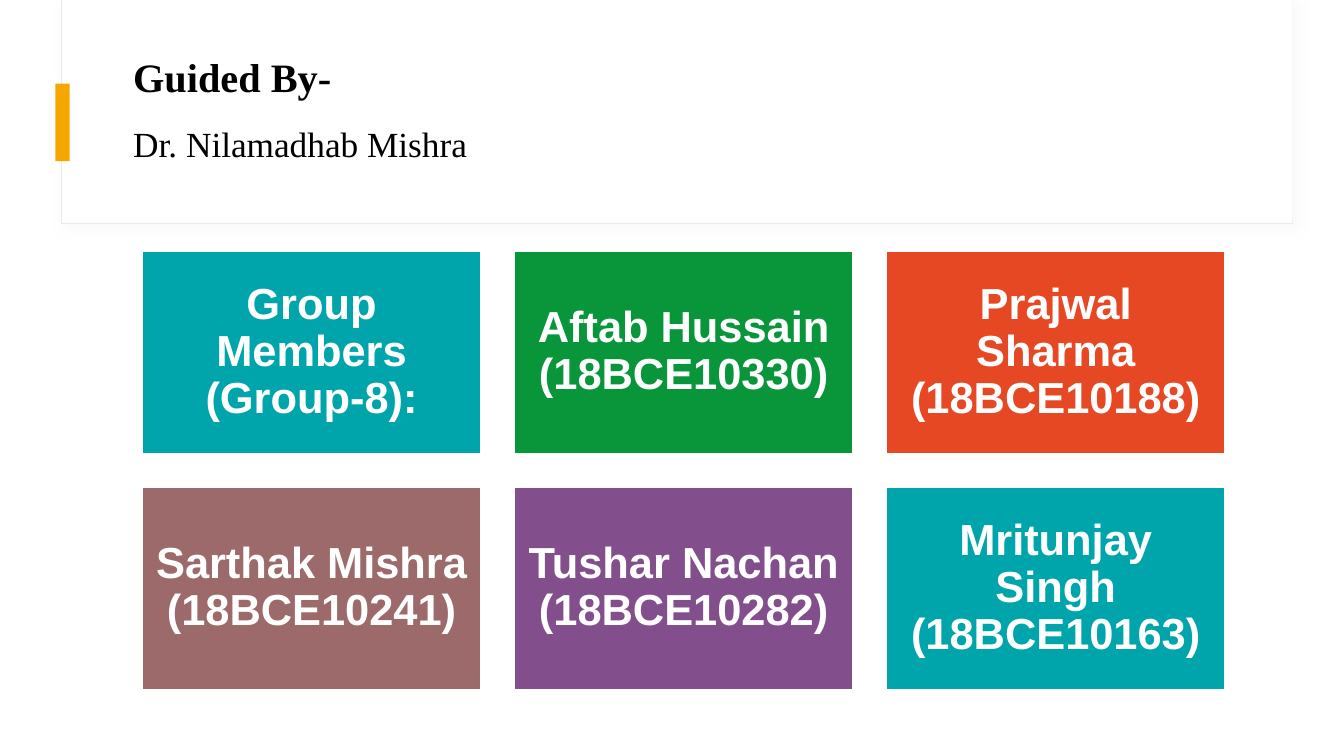
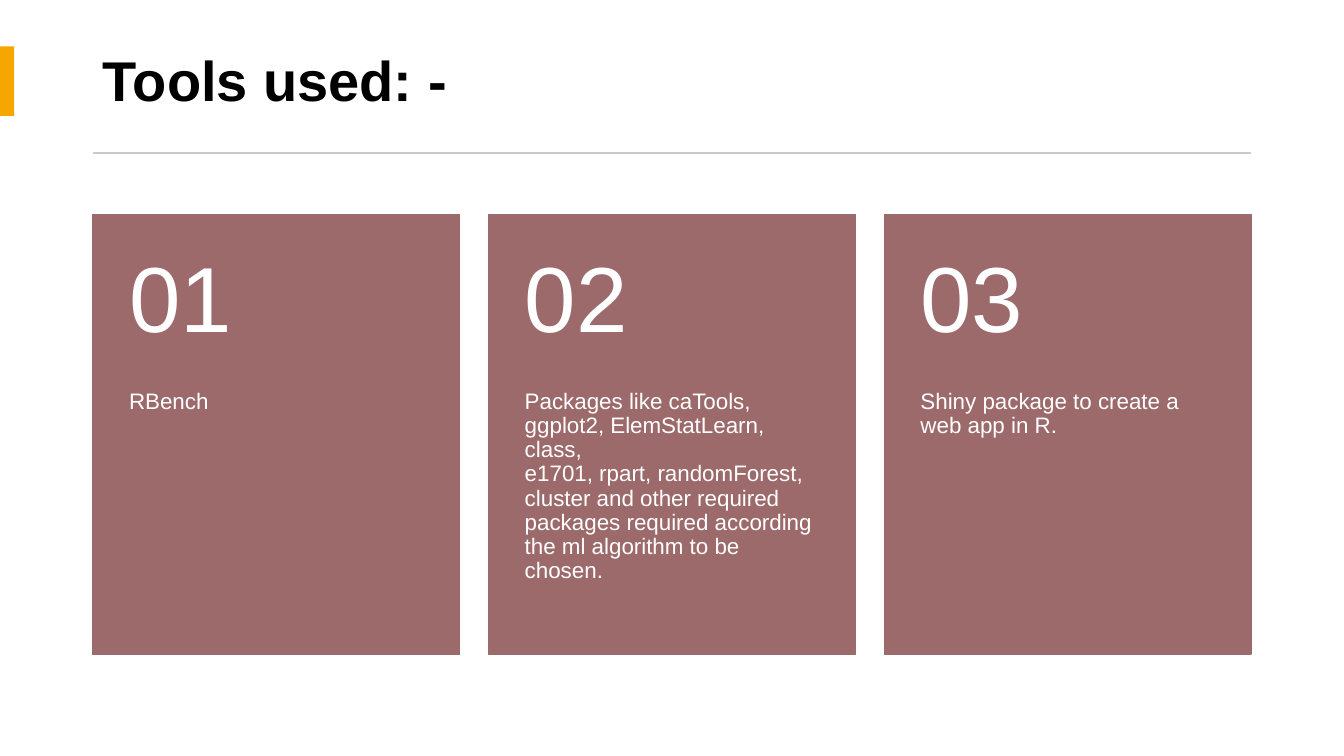
from dataclasses import dataclass
from typing import Iterator

from lxml.etree import SubElement
from pptx import Presentation
from pptx.dml.color import RGBColor
from pptx.enum.shapes import MSO_CONNECTOR, MSO_SHAPE
from pptx.enum.text import MSO_ANCHOR, MSO_AUTO_SIZE, PP_ALIGN
from pptx.oxml.ns import qn
from pptx.shapes.autoshape import Shape
from pptx.slide import Slide
from pptx.text.text import TextFrame
from pptx.util import Inches, Pt


@dataclass(frozen=True)
class Theme:
    white: str = "FFFFFF"
    black: str = "000000"
    amber: str = "F5A700"
    teal: str = "00A5AB"
    green: str = "09963B"
    red: str = "E64823"
    mauve: str = "9C6A6A"
    purple: str = "824F8C"
    edge: str = "E9E9E9"
    shade: str = "D9D9D9"
    rule: str = "C9C9C9"
    sans: str = "Arial"
    serif: str = "Times New Roman"
    guide: float = 28.8
    name: float = 25.2
    title: float = 40
    member: float = 31
    number: float = 66
    body: float = 16


@dataclass(frozen=True)
class Box:
    left: float
    top: float
    width: float
    height: float

    def lengths(self) -> tuple[Inches, ...]:
        return tuple(Inches(v) for v in (self.left, self.top, self.width, self.height))


@dataclass(frozen=True)
class Style:
    size: float
    color: str
    font: str
    bold: bool = False


@dataclass(frozen=True)
class Member:
    text: str
    fill: str


@dataclass(frozen=True)
class Tool:
    number: str
    text: str


THEME = Theme()
MEMBERS = (
    Member("Group Members (Group-8):", THEME.teal),
    Member("Aftab Hussain (18BCE10330)", THEME.green),
    Member("Prajwal Sharma (18BCE10188)", THEME.red),
    Member("Sarthak Mishra (18BCE10241)", THEME.mauve),
    Member("Tushar Nachan (18BCE10282)", THEME.purple),
    Member("Mritunjay Singh (18BCE10163)", THEME.teal),
)
TOOLS = (
    Tool("01", "RBench"),
    Tool("02", "Packages like caTools, ggplot2, ElemStatLearn, class,\v"
               "e1701, rpart, randomForest, cluster and other required "
               "packages required according the ml algorithm to be chosen."),
    Tool("03", "Shiny package to create a web app in R."),
)


def grid(first: Box, gap: float, count: int, columns: int = 3) -> Iterator[Box]:
    for index in range(count):
        row, column = divmod(index, columns)
        yield Box(first.left + column * (first.width + gap),
                  first.top + row * (first.height + gap),
                  first.width, first.height)


def add_rect(slide: Slide, box: Box, fill: str, line: str = "", weight: float = 1) -> Shape:
    shape = slide.shapes.add_shape(MSO_SHAPE.RECTANGLE, *box.lengths())
    shape.shadow.inherit = False
    shape.fill.solid()
    shape.fill.fore_color.rgb = RGBColor.from_string(fill)
    if line:
        shape.line.color.rgb = RGBColor.from_string(line)
        shape.line.width = Pt(weight)
    else:
        shape.line.fill.background()
    return shape


def write(frame: TextFrame, text: str, styles: tuple[Style, ...],
          insets: tuple[float, float, float, float],
          anchor: MSO_ANCHOR = MSO_ANCHOR.MIDDLE,
          align: PP_ALIGN = PP_ALIGN.LEFT) -> None:
    frame.text = text
    frame.word_wrap = True
    frame.auto_size = MSO_AUTO_SIZE.NONE
    frame.vertical_anchor = anchor
    (frame.margin_left, frame.margin_top,
     frame.margin_right, frame.margin_bottom) = map(Inches, insets)
    for para, style in zip(frame.paragraphs, styles):
        para.alignment = align
        para.line_spacing = 0.9
        para.space_before = Pt(0)
        for run in para.runs:
            run.font.size = Pt(style.size)
            run.font.name = style.font
            run.font.bold = style.bold
            run.font.color.rgb = RGBColor.from_string(style.color)


def add_text(slide: Slide, box: Box, text: str, size: float,
             insets: tuple[float, float, float, float], anchor: MSO_ANCHOR) -> None:
    frame = slide.shapes.add_textbox(*box.lengths()).text_frame
    write(frame, text, (Style(size, THEME.white, THEME.sans),), insets, anchor)


def add_title(slide: Slide, box: Box, text: str, styles: tuple[Style, ...],
              anchor: MSO_ANCHOR = MSO_ANCHOR.MIDDLE) -> TextFrame:
    title = slide.shapes.title
    title.left, title.top, title.width, title.height = box.lengths()
    write(title.text_frame, text, styles, (0.1, 0.05, 0.1, 0.05), anchor)
    title.element.getparent().append(title.element)
    return title.text_frame


def add_panel(slide: Slide) -> None:
    panel = add_rect(slide, Box(0.61, 0.01, 12.21, 2.21), THEME.white, THEME.edge, 0.75)
    effects = panel.element.spPr.find(qn("a:effectLst"))
    shadow = SubElement(effects, qn("a:outerShdw"), blurRad=str(Pt(8)),
                        dist=str(Pt(4)), dir="2700000", rotWithShape="0")
    color = SubElement(shadow, qn("a:srgbClr"), val=THEME.shade)
    SubElement(color, qn("a:alpha"), val="15000")
    add_rect(slide, Box(0.62, 0, 12.2, 2.2), THEME.white)


def add_rule(slide: Slide, left: float, right: float, top: float) -> None:
    rule = slide.shapes.add_connector(MSO_CONNECTOR.STRAIGHT, Inches(left), Inches(top),
                                      Inches(right), Inches(top))
    rule.line.color.rgb = RGBColor.from_string(THEME.rule)
    rule.line.width = Pt(1.5)
    SubElement(rule.element.spPr, qn("a:effectLst"))


def build_team(slide: Slide) -> None:
    add_panel(slide)
    styles = (Style(THEME.guide, THEME.black, THEME.serif, True),
              Style(THEME.name, THEME.black, THEME.serif))
    frame = add_title(slide, Box(1.22, 0.52, 11.12, 1.29),
                      "Guided By-\nDr. Nilamadhab Mishra", styles, MSO_ANCHOR.TOP)
    frame.paragraphs[1].space_before = Pt(18.5)
    add_rect(slide, Box(0.55, 0.83, 0.14, 0.77), THEME.amber)
    style = Style(THEME.member, THEME.white, THEME.sans, True)
    boxes = grid(Box(1.41, 2.49, 3.36, 2.01), 0.33, len(MEMBERS))
    for member, box in zip(MEMBERS, boxes):
        card = add_rect(slide, box, member.fill, THEME.white)
        write(card.text_frame, member.text, (style,), (0.13,) * 4, align=PP_ALIGN.CENTER)


def build_tools(slide: Slide) -> None:
    left, width, card = 0.92, 11.49, 3.64
    add_title(slide, Box(left, 0.28, width, 1.1), "Tools used: -",
              (Style(THEME.title, THEME.black, THEME.sans, True),))
    add_rect(slide, Box(0, 0.46, 0.14, 0.69), THEME.amber)
    add_rule(slide, left, left + width, 1.52)
    gap = (width - len(TOOLS) * card) / (len(TOOLS) - 1)
    head = 1.74
    boxes = grid(Box(left, 2.13, card, 4.36), gap, len(TOOLS))
    for tool, box in zip(TOOLS, boxes):
        add_rect(slide, box, THEME.mauve, THEME.mauve)
        add_text(slide, Box(box.left, box.top, card, head), tool.number,
                 THEME.number, (0.36, 0.18, 0.36, 0.18), MSO_ANCHOR.MIDDLE)
        add_text(slide, Box(box.left, box.top + head, card, box.height - head), tool.text,
                 THEME.body, (0.36, 0, 0.36, 0.36), MSO_ANCHOR.TOP)


def main() -> None:
    deck = Presentation()
    deck.slide_width, deck.slide_height = Inches(13.33), Inches(7.5)
    layout = deck.slide_layouts.get_by_name("Title Only")
    for build in (build_team, build_tools):
        build(deck.slides.add_slide(layout))
    deck.save("out.pptx")


if __name__ == "__main__":
    main()
